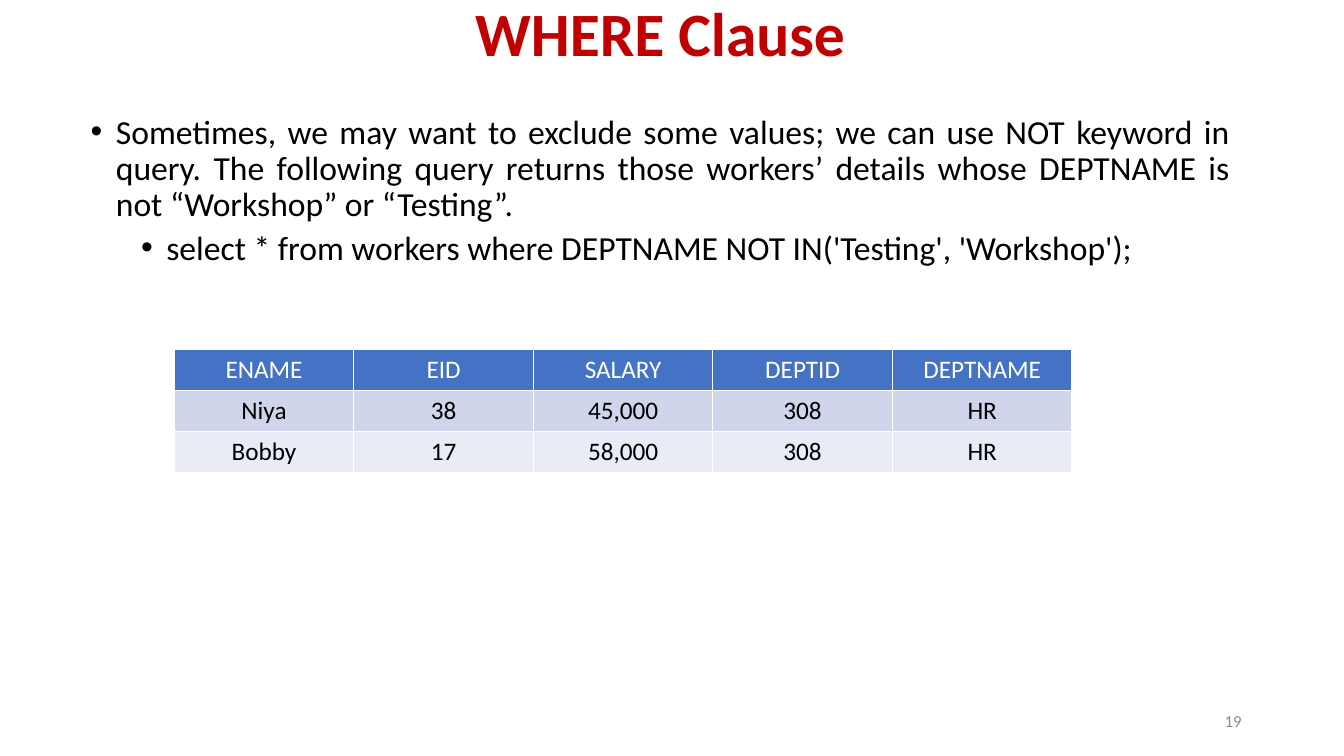
from dataclasses import dataclass

from pptx import Presentation
from pptx.dml.color import RGBColor
from pptx.enum.text import MSO_ANCHOR as Anchor, PP_ALIGN as Align
from pptx.oxml.ns import qn
from pptx.slide import Slide
from pptx.text.text import TextFrame, _Paragraph as Paragraph
from pptx.util import Emu, Pt

EMU_PER_PX = 9525


@dataclass(frozen=True)
class Theme:
    font: str = "Calibri"
    title: str = "C00000"
    text: str = "000000"
    muted: str = "8C8C8C"
    header_text: str = "FFFFFF"
    header_fill: str = "4472C4"
    row_fills: tuple[str, str] = ("CFD5EA", "E9EBF5")
    title_size: int = 44
    body_size: int = 24
    table_size: int = 18
    number_size: int = 12


@dataclass(frozen=True)
class Box:
    left: int
    top: int
    width: int
    height: int


@dataclass(frozen=True)
class Bullet:
    text: str
    level: int
    space_before: int


THEME = Theme()
TITLE_BOX = Box(77, 0, 1104, 70)
BODY_BOX = Box(77, 105, 1104, 457)
NUMBER_BOX = Box(904, 667, 288, 38)
TABLE_LEFT, TABLE_TOP = 166, 333
COLUMN_WIDTH, ROW_HEIGHT = 171, 39
BULLET_INDENT, LEVEL_INDENT = 24, 48

BULLETS = [
    Bullet(
        "Sometimes, we may want to exclude some values; we can use NOT keyword in query. "
        "The following query returns those workers’ details whose DEPTNAME is not "
        "“Workshop” or “Testing”.", 0, 0),
    Bullet("select * from workers where DEPTNAME NOT IN('Testing', 'Workshop');", 1, 5),
]
WORKERS = [
    ("ENAME", "EID", "SALARY", "DEPTID", "DEPTNAME"),
    ("Niya", "38", "45,000", "308", "HR"),
    ("Bobby", "17", "58,000", "308", "HR"),
]


def px(length: int) -> Emu:
    return Emu(length * EMU_PER_PX)


def add_text_box(slide: Slide, box: Box, anchor: Anchor) -> TextFrame:
    shape = slide.shapes.add_textbox(
        px(box.left), px(box.top), px(box.width), px(box.height))
    frame = shape.text_frame
    frame.word_wrap = True
    frame.vertical_anchor = anchor
    return frame


def style(paragraph: Paragraph, size: int, color: str, align: Align,
          bold: bool = False) -> None:
    paragraph.alignment = align
    for run in paragraph.runs:
        run.font.name = THEME.font
        run.font.size = Pt(size)
        run.font.bold = bold
        run.font.color.rgb = RGBColor.from_string(color)


def add_bullet(paragraph: Paragraph, bullet: Bullet) -> None:
    paragraph.text = bullet.text
    paragraph.level = bullet.level
    properties = paragraph._p.get_or_add_pPr()
    properties.set("marL", str(px(BULLET_INDENT + bullet.level * LEVEL_INDENT)))
    properties.set("indent", str(px(-BULLET_INDENT)))
    for tag, name, value in (("a:buFont", "typeface", "Arial"), ("a:buChar", "char", "•")):
        properties.append(properties.makeelement(qn(tag), {name: value}))
    paragraph.line_spacing = 0.9
    paragraph.space_before = Pt(bullet.space_before)
    style(paragraph, THEME.body_size, THEME.text, Align.JUSTIFY)


def add_workers_table(slide: Slide) -> None:
    row_count, column_count = len(WORKERS), len(WORKERS[0])
    table = slide.shapes.add_table(
        row_count, column_count, px(TABLE_LEFT), px(TABLE_TOP),
        px(column_count * COLUMN_WIDTH), px(row_count * ROW_HEIGHT)).table
    for row_index, values in enumerate(WORKERS):
        is_header = row_index == 0
        fill = THEME.header_fill if is_header else THEME.row_fills[(row_index - 1) % 2]
        color = THEME.header_text if is_header else THEME.text
        for column_index, value in enumerate(values):
            cell = table.cell(row_index, column_index)
            cell.fill.solid()
            cell.fill.fore_color.rgb = RGBColor.from_string(fill)
            cell.text_frame.text = value
            style(cell.text_frame.paragraphs[0], THEME.table_size, color, Align.CENTER)


def main() -> None:
    presentation = Presentation()
    presentation.slide_width, presentation.slide_height = px(1280), px(720)
    slide = presentation.slides.add_slide(presentation.slide_layouts[6])

    # Title
    title = add_text_box(slide, TITLE_BOX, Anchor.MIDDLE)
    title.margin_top = title.margin_bottom = 0
    title.text = "WHERE Clause"
    title.paragraphs[0].line_spacing = 0.9
    style(title.paragraphs[0], THEME.title_size, THEME.title, Align.CENTER, bold=True)

    # Explanation and query
    body = add_text_box(slide, BODY_BOX, Anchor.TOP)
    for index, bullet in enumerate(BULLETS):
        add_bullet(body.add_paragraph() if index else body.paragraphs[0], bullet)

    # Slide number
    number = add_text_box(slide, NUMBER_BOX, Anchor.MIDDLE)
    number.text = "19"
    style(number.paragraphs[0], THEME.number_size, THEME.muted, Align.RIGHT)

    # Query result
    add_workers_table(slide)

    presentation.save("out.pptx")


if __name__ == "__main__":
    main()
